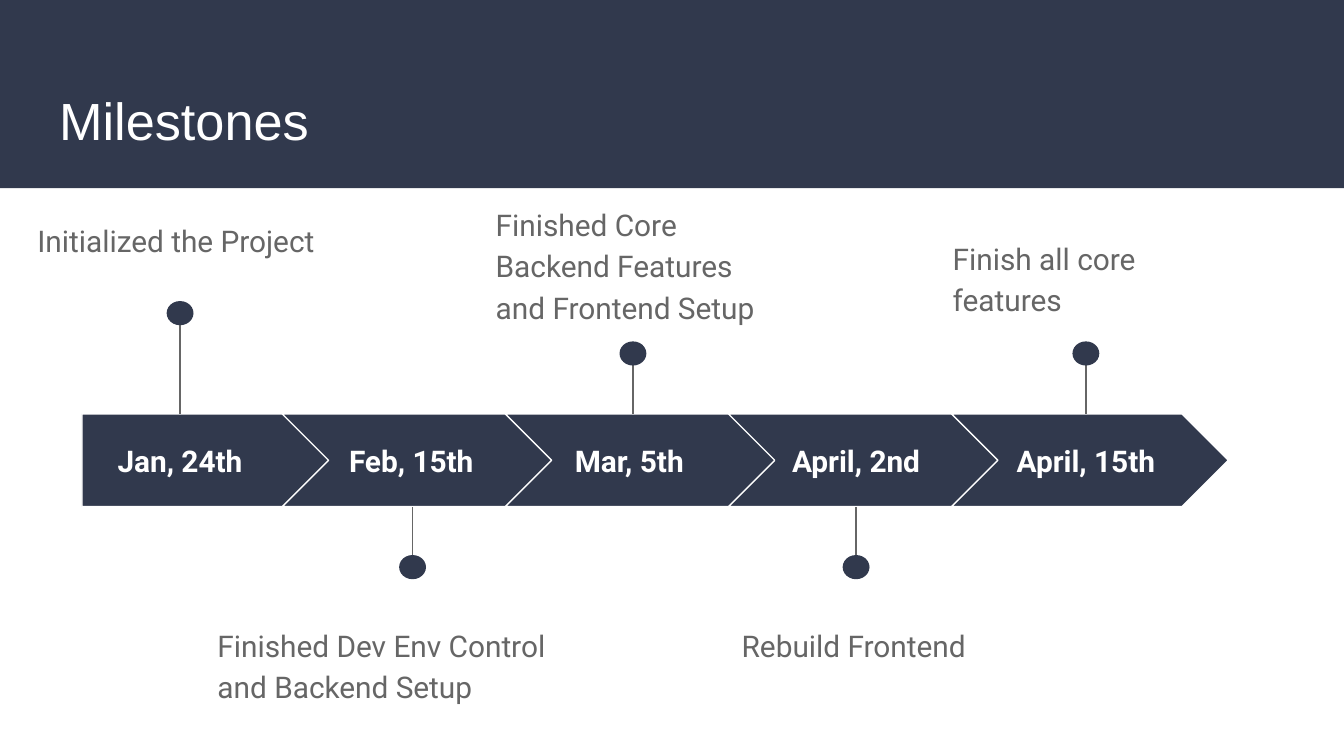
from lxml.etree import SubElement
from pptx import Presentation
from pptx.dml.color import RGBColor as RGB
from pptx.enum.shapes import MSO_CONNECTOR as LINK, MSO_SHAPE as SHAPE
from pptx.enum.text import MSO_ANCHOR as ANCHOR, MSO_AUTO_SIZE as FIT, PP_ALIGN as ALIGN
from pptx.oxml.ns import qn
from pptx.util import Inches, Pt

color = {"navy": "31394D", "gray": "666666", "white": "FFFFFF"}

deck = Presentation()
deck.slide_width = Inches(10)
deck.slide_height = Inches(10 * 9 / 16)
slide = deck.slides.add_slide(deck.slide_layouts[5])
shapes = slide.shapes


def add_solid(kind, *box):
    shape = shapes.add_shape(kind, *map(Inches, box))
    shape.shadow.inherit = False
    shape.fill.solid()
    shape.fill.fore_color.rgb = RGB.from_string(color["navy"])
    shape.line.fill.background()
    return shape


def set_text(shape, text, size, font, tone, anchor, align, bold=False):
    frame = shape.text_frame
    frame.word_wrap = True
    frame.auto_size = FIT.NONE
    frame.vertical_anchor = anchor
    frame.margin_left = frame.margin_right = Inches(0.1)
    frame.margin_top = frame.margin_bottom = Inches(0.1)
    para = frame.paragraphs[0]
    para.alignment = align
    run = para.add_run()
    run.text = text
    run.font.size = Pt(size)
    run.font.name = font
    run.font.bold = bold
    run.font.color.rgb = RGB.from_string(color[tone])
    return para


band = add_solid(SHAPE.RECTANGLE, 0, 0, 10, 1.4)
title = shapes.title
title.element.addprevious(band.element)
title.left, title.top = Inches(0.34), Inches(0.55)
title.width, title.height = Inches(9.32), Inches(0.68)
set_text(title, "Milestones", 28, "Arial", "white", ANCHOR.MIDDLE, ALIGN.LEFT)

top, high = 3.08, 0.69
step, first = 1.66, 2.1
dot_w, dot_h = 0.2, 0.18

stones = [
    ("Jan, 24th", (0.61, 1.46), 1.34, 2.24, "Initialized the Project", (0.18, 1.52, 2.79, 1.01)),
    ("Feb, 15th", (2.4, 1.32), 3.07, 4.13, "Finished Dev Env Control and Backend Setup", (1.52, 4.53, 2.73, 0.84)),
    ("Mar, 5th ", (4.05, 1.32), 4.71, 2.54, "Finished Core Backend Features and Frontend Setup", (3.59, 1.4, 2.25, 0.84)),
    ("April, 2nd", (5.71, 1.32), 6.37, 4.13, "Rebuild Frontend", (5.42, 4.53, 2.25, 0.84)),
    ("April, 15th", (7.42, 1.32), 8.08, 2.54, "Finish all core features", (6.99, 1.65, 2.25, 0.84)),
]

for index, (date, (left, wide), mid, dot_y, note, box) in enumerate(stones):
    if index == 0:
        arrow = add_solid(SHAPE.PENTAGON, 0.61, top, 1.88, high)
    else:
        arrow = add_solid(SHAPE.CHEVRON, first + step * (index - 1), top, 2.06, high)
    arrow.adjustments[0] = 0.5
    arrow.line.color.rgb = RGB.from_string(color["white"])
    arrow.line.width = Pt(0.75)

    label = shapes.add_textbox(Inches(left), Inches(3.21), Inches(wide), Inches(0.44))
    set_text(label, date, 16, "Roboto", "white", ANCHOR.MIDDLE, ALIGN.CENTER, True)

    edge = top if dot_y < top else top + high
    stem = shapes.add_connector(
        LINK.STRAIGHT, Inches(mid), Inches(dot_y + dot_h / 2), Inches(mid), Inches(edge))
    stem.line.color.rgb = RGB.from_string(color["gray"])
    stem.line.width = Pt(0.75)
    SubElement(stem.element.spPr, qn("a:effectLst"))
    add_solid(SHAPE.OVAL, mid - dot_w / 2, dot_y, dot_w, dot_h)

    detail = shapes.add_textbox(*map(Inches, box))
    para = set_text(detail, note, 16, "Roboto", "gray", ANCHOR.TOP, ALIGN.LEFT)
    para.line_spacing = 1.15
    para.space_after = Pt(16)

deck.save("out.pptx")
